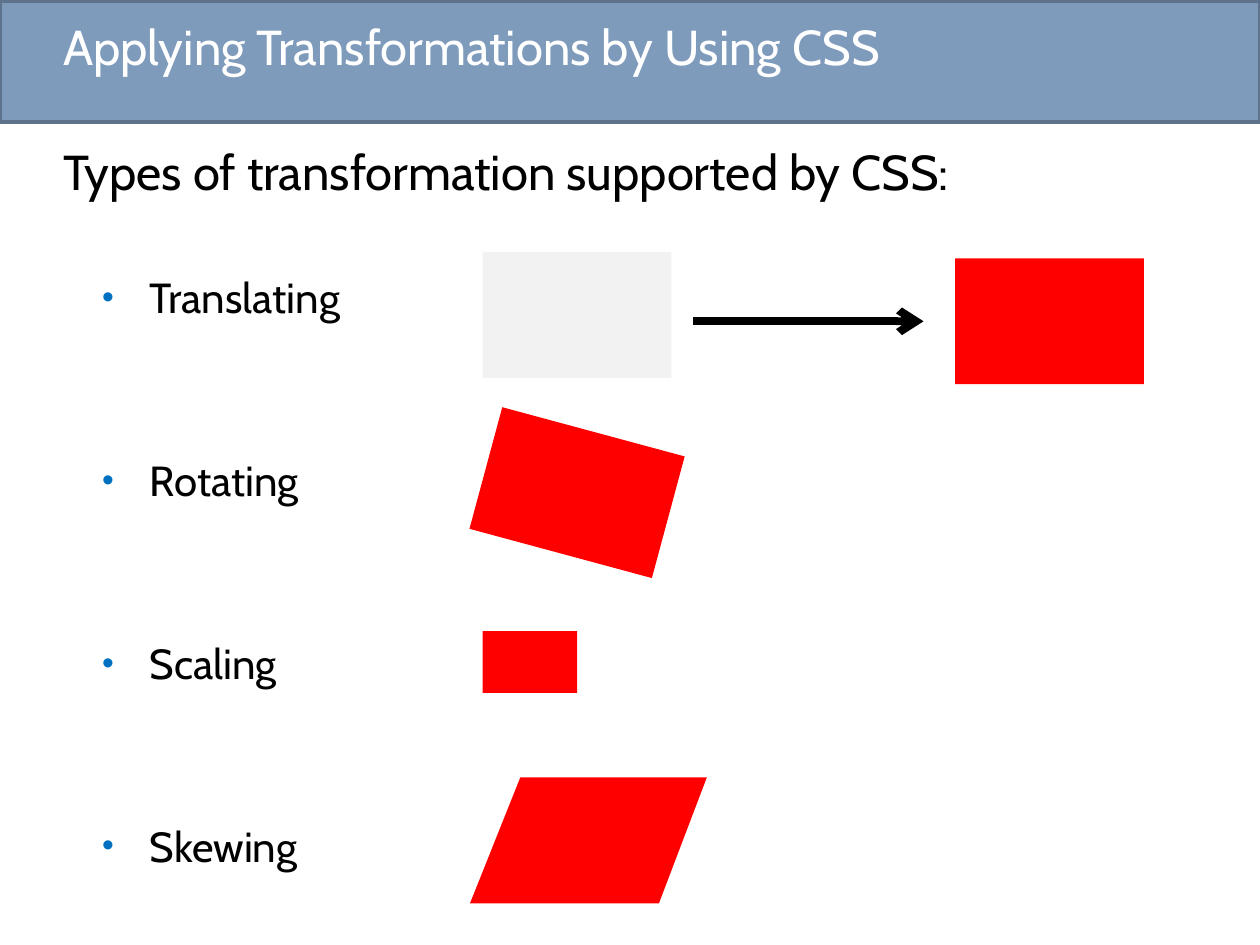
from dataclasses import dataclass

from lxml.etree import SubElement
from pptx import Presentation
from pptx.dml.color import RGBColor
from pptx.enum.shapes import MSO_CONNECTOR as Connector, MSO_SHAPE as Shape
from pptx.enum.text import MSO_ANCHOR as Anchor, MSO_AUTO_SIZE as AutoSize, PP_ALIGN as Align
from pptx.oxml.ns import qn
from pptx.util import Inches, Pt


@dataclass(frozen=True)
class Theme:
    font: str = "Cabin"
    band: str = "7F9BBC"
    band_line: str = "5E738B"
    title: str = "FFFFFF"
    text: str = "000000"
    bullet: str = "0070C0"
    before: str = "F2F2F2"
    after: str = "FF0000"
    heading_size: int = 28
    item_size: int = 24


THEME = Theme()
ITEMS = ("Translating", "Rotating", "Scaling", "Skewing")
BOX_LEFT, BOX_WIDTH, BOX_HEIGHT = 3.83, 1.5, 1
ITEM_PITCH = 34.86  # points from one list line to the next
ITEM_GAP = 6


def rgb(value):
    return RGBColor.from_string(value)


def paint(shape, color):
    shape.shadow.inherit = False
    shape.fill.solid()
    shape.fill.fore_color.rgb = rgb(color)
    shape.line.fill.background()


def add_box(shapes, left, top, width, height, color):
    box = shapes.add_shape(
        Shape.RECTANGLE, Inches(left), Inches(top), Inches(width), Inches(height))
    paint(box, color)
    return box


def add_arrow(shapes, left, right, y):
    arrow = shapes.add_connector(
        Connector.STRAIGHT, Inches(left), Inches(y), Inches(right), Inches(y))
    arrow.line.color.rgb = rgb(THEME.text)
    arrow.line.width = Pt(4.5)
    SubElement(arrow.line._get_or_add_ln(), qn("a:tailEnd"), type="arrow")
    SubElement(arrow.element.spPr, qn("a:effectLst"))


def add_polygon(shapes, points, color):
    corners = [(Inches(x), Inches(y)) for x, y in points]
    builder = shapes.build_freeform(*corners[0], scale=1.0)
    builder.add_line_segments(corners[1:], close=True)
    paint(builder.convert_to_shape(), color)


def place_frame(holder, left, top, width, height, anchor, margins):
    holder.left, holder.top = Inches(left), Inches(top)
    holder.width, holder.height = Inches(width), Inches(height)
    frame = holder.text_frame
    frame.word_wrap = True
    frame.auto_size = AutoSize.NONE
    frame.vertical_anchor = anchor
    (frame.margin_left, frame.margin_top,
     frame.margin_right, frame.margin_bottom) = map(Inches, margins)
    return frame


def write(para, text, size, color, space_before=0):
    para.alignment = Align.LEFT
    para.space_before = Pt(space_before)
    span = para.add_run()
    span.text = text
    span.font.name = THEME.font
    span.font.size = Pt(size)
    span.font.color.rgb = rgb(color)


def set_bullet(para, bulleted):
    props = para._p.get_or_add_pPr()
    props.set("marL", str(Inches(0.69 if bulleted else 0)))
    props.set("indent", str(Inches(-0.38 if bulleted else 0)))
    if not bulleted:
        SubElement(props, qn("a:buNone"))
        return
    color = SubElement(props, qn("a:buClr"))
    SubElement(color, qn("a:srgbClr"), val=THEME.bullet)
    SubElement(props, qn("a:buSzPct"), val="80000")
    SubElement(props, qn("a:buFont"), typeface="Arial")
    SubElement(props, qn("a:buChar"), char="•")


def add_title_band(page):
    band = add_box(page.shapes, 0, 0.01, 10, 0.96, THEME.band)
    band.line.color.rgb = rgb(THEME.band_line)
    band.line.width = Pt(2)
    page.shapes.title.element.addprevious(band.element)  # behind the title


def fill_title(page, text):
    frame = place_frame(
        page.shapes.title, 0.5, 0, 8.5, 0.81, Anchor.MIDDLE, (0, 0.05, 0.1, 0.05))
    para = frame.paragraphs[0]
    para.line_spacing = 0.85
    write(para, text, THEME.heading_size, THEME.title)


def fill_list(page, heading, items):
    frame = place_frame(
        page.placeholders[1], 0.5, 1.12, 8.88, 5.63, Anchor.TOP, (0, 0, 0, 0))
    para = frame.paragraphs[0]
    write(para, heading, THEME.heading_size, THEME.text, ITEM_GAP)
    set_bullet(para, False)
    for index, item in enumerate(items):
        # One free line above the first item, two above the others
        free_lines = 2 if index else 1
        para = frame.add_paragraph()
        para.level = 1
        write(para, item, THEME.item_size, THEME.text,
              ITEM_GAP + free_lines * ITEM_PITCH)
        set_bullet(para, True)


def add_translation(page):
    group = page.shapes.add_group_shape().shapes
    add_box(group, BOX_LEFT, 2, BOX_WIDTH, BOX_HEIGHT, THEME.before)
    add_box(group, 7.58, 2.05, BOX_WIDTH, BOX_HEIGHT, THEME.after)
    add_arrow(group, 5.5, 7.33, 2.55)


def main():
    deck = Presentation()
    deck.slide_width, deck.slide_height = Inches(10), Inches(7.5)
    page = deck.slides.add_slide(deck.slide_layouts[1])

    # Title and list
    add_title_band(page)
    fill_title(page, "Applying Transformations by Using CSS")
    fill_list(page, "Types of transformation supported by CSS:", ITEMS)

    # One sample for each kind of transformation
    add_translation(page)
    rotated = add_box(page.shapes, BOX_LEFT, 3.41, BOX_WIDTH, BOX_HEIGHT, THEME.after)
    rotated.rotation = 15.1
    add_box(page.shapes, BOX_LEFT, 5.01, BOX_WIDTH / 2, 0.49, THEME.after)
    skewed = ((4.13, 6.17), (5.61, 6.17), (5.23, 7.17), (3.73, 7.17))
    add_polygon(page.shapes, skewed, THEME.after)

    deck.save("out.pptx")


if __name__ == "__main__":
    main()
